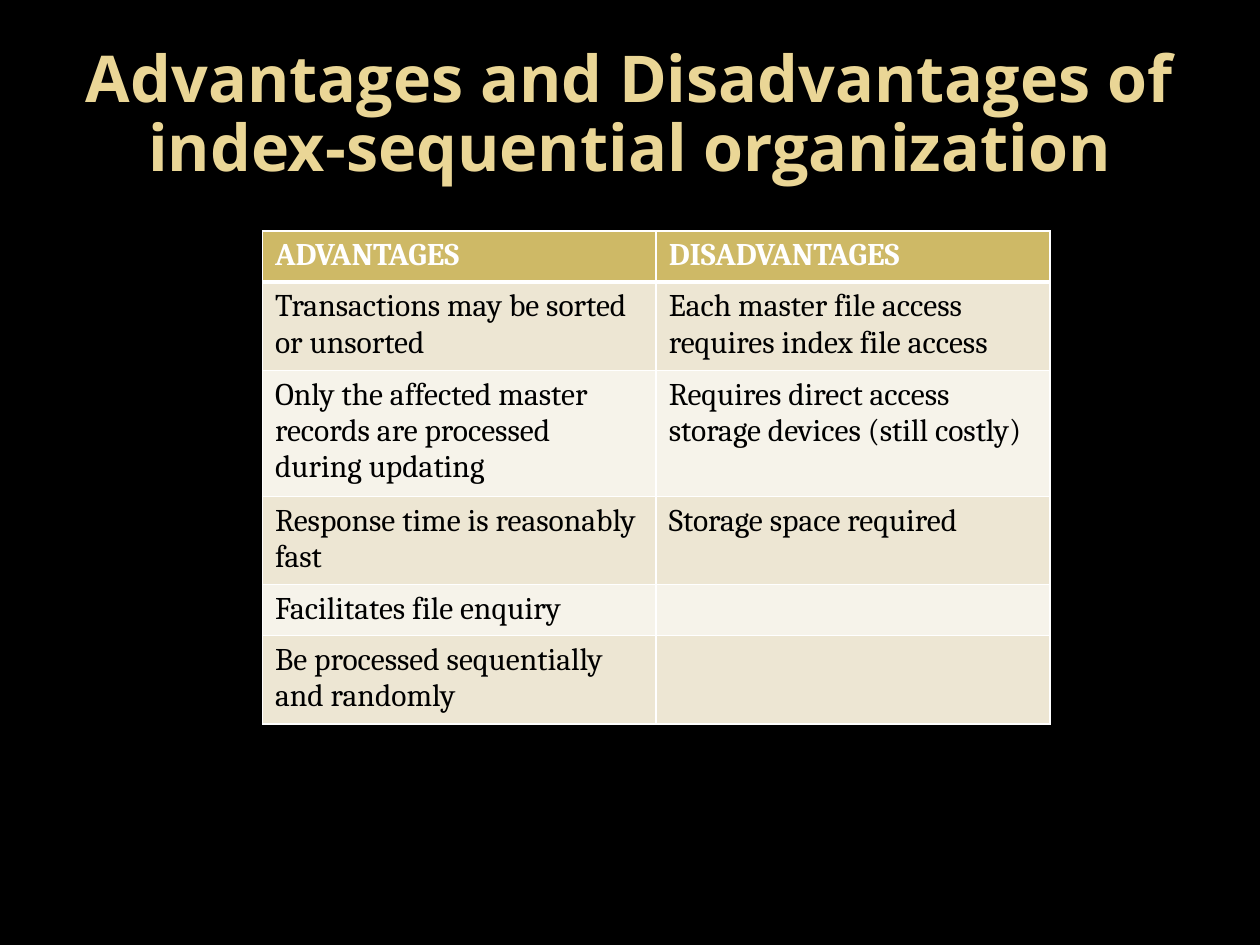
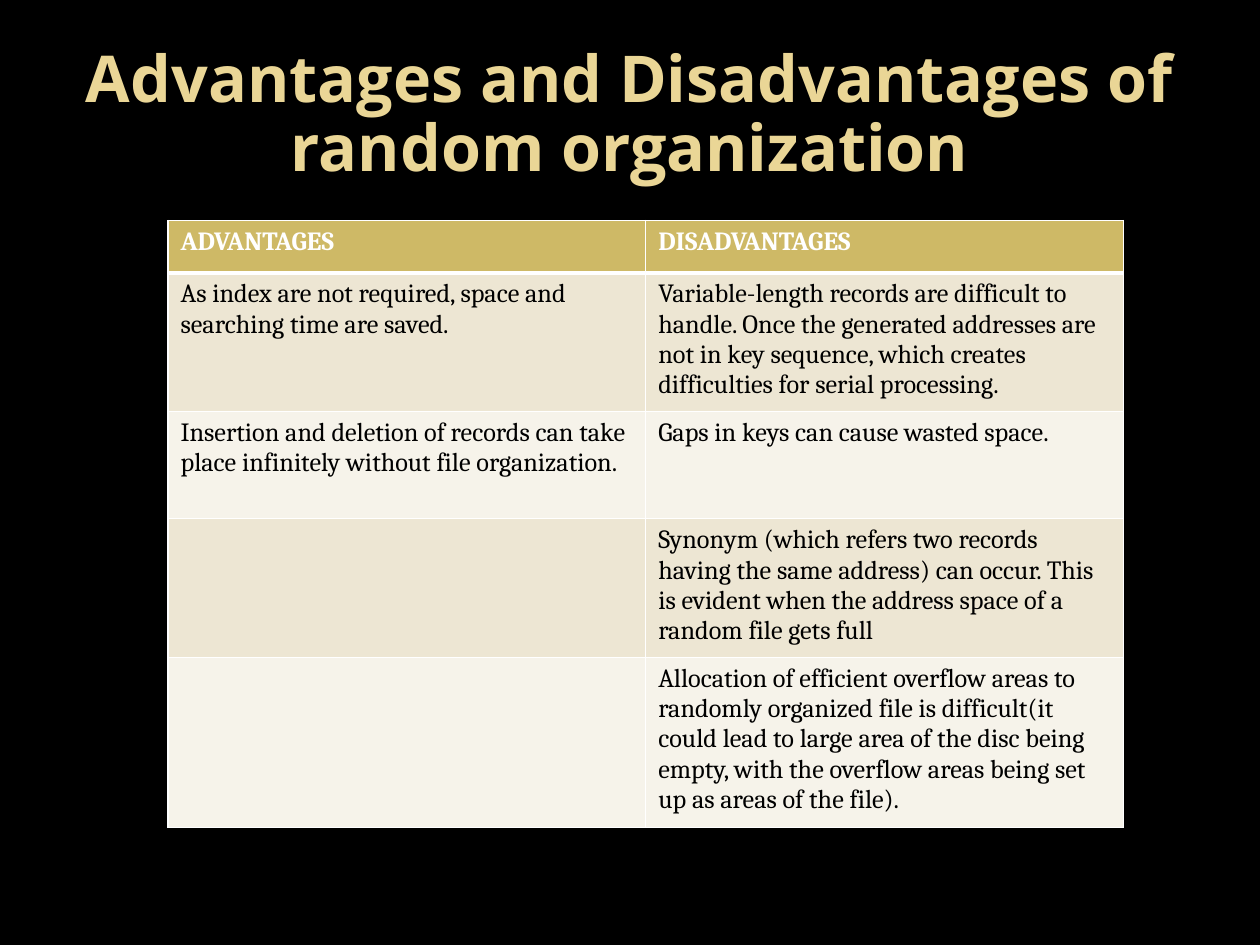
from lxml import etree
from pptx import Presentation
from pptx.dml.color import RGBColor
from pptx.enum import text
from pptx.oxml import ns
from pptx.util import Pt

COLOURS = {
    "background": "000000",
    "title": "EAD696",
    "header": "CEB966",
    "odd row": "EDE6D3",
    "even row": "F6F3EA",
    "light": "FFFFFF",
    "dark": "000000",
}
TITLE_BOX = (36, 21.6, 648, 90)
HEADINGS = ("ADVANTAGES", "DISADVANTAGES")

INDEX_SEQUENTIAL = [
    HEADINGS,
    ("Transactions may be sorted or unsorted",
     "Each master file access requires index file access"),
    ("Only the affected master records are processed during updating",
     "Requires direct access storage devices (still costly)"),
    ("Response time is reasonably fast", "Storage space required"),
    ("Facilitates file enquiry", ""),
    ("Be processed sequentially and randomly", ""),
]
RANDOM = [
    HEADINGS,
    ("As index are not required, space and searching time are saved.",
     "Variable-length records are difficult to handle. Once the generated addresses "
     "are not in key sequence, which creates difficulties for serial processing."),
    ("Insertion and deletion of records can take place infinitely without file organization.",
     "Gaps in keys can cause wasted space."),
    ("", "Synonym (which refers two records having the same address) can occur. "
         "This is evident when the address space of a random file gets full"),
    ("", "Allocation of efficient overflow areas to randomly organized file is difficult"
         "(it could lead to large area of the disc being empty, with the overflow areas "
         "being set up as areas of the file)."),
]


def colour(name):
    return RGBColor.from_string(COLOURS[name])


def add_span(para, words, font, size, colour_name, bold):
    span = para.add_run()
    span.text = words
    span.font.name = font
    span.font.size = Pt(size)
    span.font.bold = bold
    span.font.color.rgb = colour(colour_name)


def add_page(deck):
    page = deck.slides.add_slide(deck.slide_layouts[6])
    page.background.fill.solid()
    page.background.fill.fore_color.rgb = colour("background")
    return page


def add_title(page, box, words):
    frame = page.shapes.add_textbox(*map(Pt, box)).text_frame
    frame.word_wrap = True
    frame.vertical_anchor = text.MSO_ANCHOR.MIDDLE
    para = frame.paragraphs[0]
    para.alignment = text.PP_ALIGN.CENTER
    para.line_spacing = 0.89
    add_span(para, words, "Open Sans", 36.9, "title", True)


def set_borders(cell, widths):
    """Draw white borders; widths are left, right, top, bottom."""
    properties = cell._tc.get_or_add_tcPr()
    for position, (side, width) in enumerate(zip("LRTB", widths)):
        line = etree.Element(ns.qn(f"a:ln{side}"), w=str(Pt(width)))
        fill = etree.SubElement(line, ns.qn("a:solidFill"))
        etree.SubElement(fill, ns.qn("a:srgbClr"), val=COLOURS["light"])
        properties.insert(position, line)


def add_comparison(page, box, rows, size, header_height, row_height):
    frame = page.shapes.add_table(len(rows), len(HEADINGS), *map(Pt, box))
    table = frame.table
    for row_number, entries in enumerate(rows):
        is_header = row_number == 0
        table.rows[row_number].height = Pt(header_height if is_header else row_height)
        fill_name = "header" if is_header else "odd row" if row_number % 2 else "even row"
        # A heavy rule separates the header from the body
        top = 3 if row_number == 1 else 1
        bottom = 3 if is_header else 1
        for column, words in enumerate(entries):
            cell = table.cell(row_number, column)
            cell.fill.solid()
            cell.fill.fore_color.rgb = colour(fill_name)
            set_borders(cell, (1, 1, top, bottom))
            if words:
                add_span(cell.text_frame.paragraphs[0], words, "Cambria", size,
                         "light" if is_header else "dark", is_header)
    frame.height = Pt(box[3])


def main():
    deck = Presentation()
    deck.slide_width, deck.slide_height = Pt(720), Pt(540)

    # Index-sequential organization
    page = add_page(deck)
    add_title(page, TITLE_BOX, "Advantages and Disadvantages of index-sequential organization")
    add_comparison(page, (150, 132, 450, 281.5), INDEX_SEQUENTIAL, 18, 29.2, 29.2)

    # Random organization
    page = add_page(deck)
    add_title(page, TITLE_BOX, "Advantages and Disadvantages of random organization")
    add_comparison(page, (96, 126, 546, 365), RANDOM, 15, 30, 61.2)

    deck.save("out.pptx")


if __name__ == "__main__":
    main()
